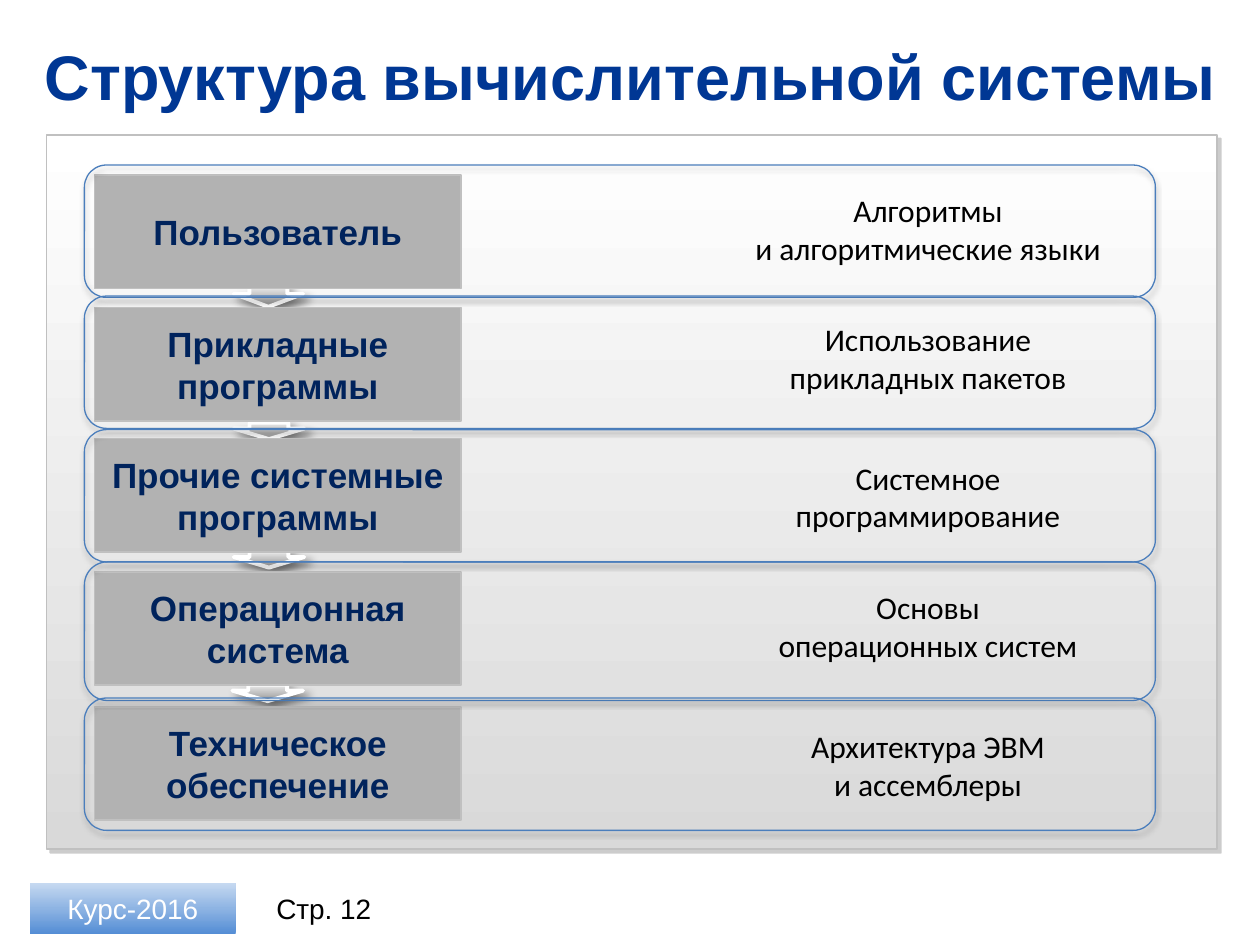
from lxml.etree import SubElement
from pptx import Presentation
from pptx.dml.color import RGBColor
from pptx.enum.shapes import MSO_SHAPE as Shape
from pptx.enum.text import MSO_ANCHOR as Anchor, PP_ALIGN as Align
from pptx.oxml.ns import qn
from pptx.util import Inches, Pt

TITLE = "Структура вычислительной системы"
BADGE = "Курс-2016"
PAGE = "Стр. 12"
LEVELS = [
    {"name": "Пользователь", "topic": "Алгоритмы\nи алгоритмические языки",
     "box": 1.39, "frame": (1.31, 1.05), "note": 1.47},
    {"name": "Прикладные программы", "topic": "Использование\nприкладных пакетов",
     "box": 2.44, "frame": (2.35, 1.05), "note": 2.49},
    {"name": "Прочие системные программы", "topic": "Системное\nпрограммирование",
     "box": 3.48, "frame": (3.41, 1.05), "note": 3.59},
    {"name": "Операционная система", "topic": "Основы\nоперационных систем",
     "box": 4.54, "frame": (4.46, 1.1), "note": 4.62},
    {"name": "Техническое обеспечение", "topic": "Архитектура ЭВМ\nи ассемблеры",
     "box": 5.61, "frame": (5.54, 1.05), "note": 5.72},
]
ARROWS = [(2.05, 2.08, 0.16, 0.55), (2.07, 3.14, 0.13, 0.56),
          (2.07, 4.16, 0.13, 0.56), (2.06, 5.22, 0.13, 0.56)]
COLORS = {
    "title": "003794", "name": "00235C", "text": "000000", "white": "FFFFFF",
    "box": "B2B2B2", "edge": "C0C0C0", "frame": "4B7EBC",
    "panel_end": "D9D9D9", "panel_shadow": "808080", "shadow": "000000",
    "arrow_start": "EAEAEA", "arrow_end": "969696",
    "badge_start": "558ED5", "badge_middle": "8EB4E3", "badge_end": "C6D9F1",
}


def color(name):
    return RGBColor.from_string(COLORS[name])


def set_gradient(shape, names, angle):
    shape.fill.gradient()
    gradient = shape._element.spPr.find(qn("a:gradFill"))
    stops = gradient.find(qn("a:gsLst"))
    for stop in list(stops):
        stops.remove(stop)
    for index, name in enumerate(names):
        position = round(100000 * index / (len(names) - 1))
        stop = SubElement(stops, qn("a:gs"), pos=str(position))
        SubElement(stop, qn("a:srgbClr"), val=COLORS[name])
    gradient.find(qn("a:lin")).set("ang", str(angle * 60000))


def set_shadow(shape, name, alpha, blur, distance, angle):
    effects = shape._element.spPr.find(qn("a:effectLst"))
    shadow = SubElement(effects, qn("a:outerShdw"), blurRad=str(Pt(blur)),
                        dist=str(Pt(distance)), dir=str(angle * 60000),
                        algn="ctr", rotWithShape="0")
    rgb = SubElement(shadow, qn("a:srgbClr"), val=COLORS[name])
    SubElement(rgb, qn("a:alpha"), val=str(alpha * 1000))


def add_shape(slide, kind, place, fill=None, line=None, width=1):
    shape = slide.shapes.add_shape(kind, *map(Inches, place))
    shape.shadow.inherit = False
    if fill:
        shape.fill.solid()
        shape.fill.fore_color.rgb = color(fill)
    else:
        shape.fill.background()
    if line:
        shape.line.color.rgb = color(line)
        shape.line.width = Pt(width)
    else:
        shape.line.fill.background()
    return shape


def write(shape, text, size, font, name, bold=False, anchor=Anchor.MIDDLE, margin=None):
    frame = shape.text_frame
    frame.word_wrap = True
    frame.vertical_anchor = anchor
    if margin is not None:
        frame.margin_left = frame.margin_right = Inches(margin)
        frame.margin_top = frame.margin_bottom = Inches(margin)
    paragraph = frame.paragraphs[0]
    paragraph.text = text
    paragraph.alignment = Align.CENTER
    for run in paragraph.runs:
        run.font.size = Pt(size)
        run.font.name = font
        run.font.bold = bold
        run.font.color.rgb = color(name)


def add_text(slide, place, *style, **options):
    write(slide.shapes.add_textbox(*map(Inches, place)), *style, **options)


def add_arrow(slide, place):
    arrow = add_shape(slide, Shape.RIGHT_ARROW, place, line="white", width=2.25)
    arrow.adjustments[0] = 0.55
    arrow.adjustments[1] = 0.64
    arrow.rotation = 90
    arrow._element.spPr.xfrm.set("flipV", "1")
    set_gradient(arrow, ["arrow_start", "arrow_end"], 0)
    set_shadow(arrow, "shadow", 50, 5, 4.2, 45)


def main():
    presentation = Presentation()
    presentation.slide_width = Inches(10)
    presentation.slide_height = Inches(7.5)
    slide = presentation.slides.add_slide(presentation.slide_layouts[5])

    title = slide.shapes.title
    title.left, title.top, title.width, title.height = map(Inches, (0.2, 0.26, 9.61, 0.68))
    write(title, TITLE, 36, "Arial", "title", bold=True)

    panel = add_shape(slide, Shape.RECTANGLE, (0.37, 1.07, 9.29, 5.67), line="edge")
    set_gradient(panel, ["white", "panel_end"], 90)
    set_shadow(panel, "panel_shadow", 40, 0, 3, 45)

    badge = add_shape(slide, Shape.RECTANGLE, (0.24, 7.01, 1.63, 0.4))
    set_gradient(badge, ["badge_start", "badge_middle", "badge_end"], 270)
    write(badge, BADGE, 16, "Arial", "white")

    for place in ARROWS:
        add_arrow(slide, place)
    for level in LEVELS:
        box = add_shape(slide, Shape.RECTANGLE, (0.75, level["box"], 2.91, 0.9), "box", "edge")
        write(box, level["name"], 20, "Arial", "name", bold=True, margin=0)
    for level in LEVELS:
        top, height = level["frame"]
        frame = add_shape(slide, Shape.ROUNDED_RECTANGLE, (0.67, top, 8.5, height),
                          line="frame", width=0.75)
        set_shadow(frame, "shadow", 35, 3.1, 1.8, 90)
        add_text(slide, (5.79, level["note"], 3.15, 0.71), level["topic"], 18,
                 "Calibri", "text", anchor=Anchor.TOP)

    add_text(slide, (2.03, 7.01, 1.08, 0.4), PAGE, 16, "Arial", "text")
    presentation.save("out.pptx")


if __name__ == "__main__":
    main()
